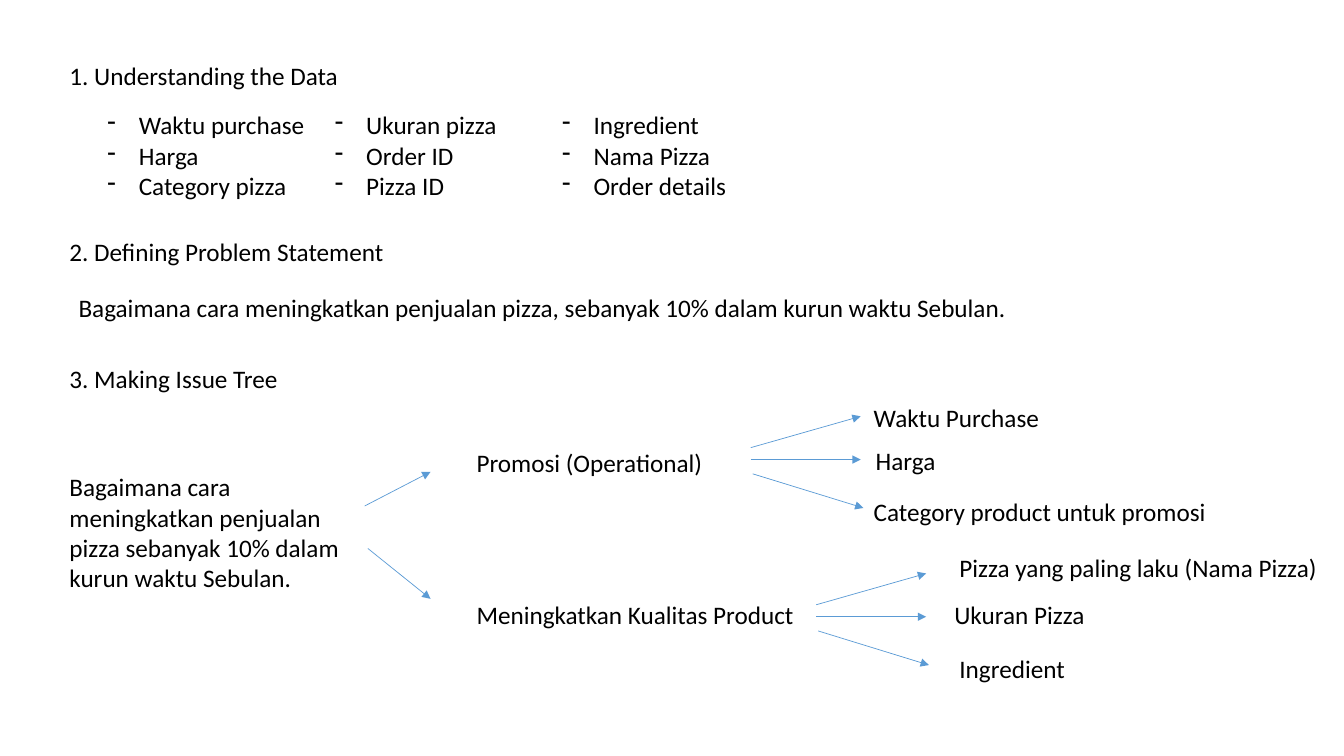
from lxml import etree
from pptx import Presentation
from pptx.dml.color import RGBColor
from pptx.enum.shapes import MSO_CONNECTOR
from pptx.enum.text import MSO_AUTO_SIZE
from pptx.oxml.ns import qn
from pptx.util import Cm, Pt

COLORS = {"text": "000000", "arrow": "5B9BD5"}
FONT, SIZE = "Calibri", 18
LINE_H, PAD_H = 0.76, 0.26  # height of a text line and of the box margins, cm

# Content: places in cm
HEADINGS = [  # text, top, width
    ("1. Understanding the Data", 1.4, 7.37),
    ("2. Defining Problem Statement", 5.84, 8.53),
    ("3. Making Issue Tree", 9.04, 5.82),
]
DATA_COLUMNS = [  # items, width
    (["Waktu purchase", "Harga", "Category pizza"], 5.54),
    (["Ukuran pizza", "Order ID", "Pizza ID"], 4.62),
    (["Ingredient", "Nama Pizza", "Order details"], 4.7),
]
STATEMENT = ("Bagaimana cara meningkatkan penjualan pizza, sebanyak 10% "
             "dalam kurun waktu Sebulan.")
ISSUE = ("Bagaimana cara meningkatkan penjualan pizza sebanyak 10% "
         "dalam kurun waktu Sebulan.")
BRANCHES = [  # text, top, fan origin, leaves (text, left, top)
    ("Promosi (Operational)", 11.15, (18.92, 11.58), [
        ("Waktu Purchase", 21.77, 10.01),
        ("Harga", 21.82, 11.1),
        ("Category product untuk promosi", 21.77, 12.37),
    ]),
    ("Meningkatkan Kualitas Product", 14.99, (20.57, 15.54), [
        ("Pizza yang paling laku (Nama Pizza)", 23.93, 13.79),
        ("Ukuran Pizza", 23.8, 14.99),
        ("Ingredient", 23.93, 16.33),
    ]),
]
ISSUE_ARROWS = [(9.19, 12.75, 10.85, 11.89), (9.27, 13.82, 10.85, 15.09)]
FAN = [(0, -0.3, 2.77, -1.09), (0, 0, 2.77, 0), (0.05, 0.36, 2.84, 1.22)]

LEFT = 1.5
COLUMN_LEFT, COLUMN_TOP, COLUMN_STEP = 2.46, 2.64, 5.73
BRANCH_LEFT, NODE_W = 11.76, 9.93
INDENT = 0.79

prs = Presentation()
prs.slide_width, prs.slide_height = Cm(33.87), Cm(19.05)
s = prs.slides.add_slide(prs.slide_layouts[6])


def add_text(lines, left, top, width, wrap=True, rows=1, dashes=False):
    height = rows * LINE_H + PAD_H
    sp = s.shapes.add_textbox(Cm(left), Cm(top), Cm(width), Cm(height))
    tf = sp.text_frame
    tf.word_wrap = wrap
    tf.auto_size = MSO_AUTO_SIZE.SHAPE_TO_FIT_TEXT
    tf.text = "\n".join(lines)
    for p in tf.paragraphs:
        p.font.name, p.font.size = FONT, Pt(SIZE)
        p.font.color.rgb = RGBColor.from_string(COLORS["text"])
        if dashes:
            pPr = p._p.get_or_add_pPr()
            pPr.set("marL", str(Cm(INDENT)))
            pPr.set("indent", str(-Cm(INDENT)))
            bullet = etree.Element(qn("a:buChar"), char="-")
            pPr.insert(0, bullet)


def add_arrow(x1, y1, x2, y2):
    cx = s.shapes.add_connector(MSO_CONNECTOR.STRAIGHT,
                                Cm(x1), Cm(y1), Cm(x2), Cm(y2))
    cx.line.width = Pt(0.5)
    cx.line.color.rgb = RGBColor.from_string(COLORS["arrow"])
    etree.SubElement(cx.line._get_or_add_ln(), qn("a:tailEnd"), type="triangle")
    etree.SubElement(cx._element.spPr, qn("a:effectLst"))


# Section headings
for text, top, width in HEADINGS:
    add_text([text], LEFT, top, width, wrap=False)

# Data fields in three columns
for i, (items, width) in enumerate(DATA_COLUMNS):
    add_text(items, COLUMN_LEFT + i * COLUMN_STEP, COLUMN_TOP, width,
             wrap=False, rows=len(items), dashes=True)

# Problem statement
add_text([STATEMENT], 1.73, 7.24, 30.81)

# Issue tree: root, branches and leaves
add_text([ISSUE], LEFT, 11.76, 7.39, rows=4)
for arrow in ISSUE_ARROWS:
    add_arrow(*arrow)
for text, top, (x, y), leaves in BRANCHES:
    add_text([text], BRANCH_LEFT, top, NODE_W)
    for (leaf, leaf_left, leaf_top), (x1, y1, x2, y2) in zip(leaves, FAN):
        add_text([leaf], leaf_left, leaf_top, NODE_W)
        add_arrow(x + x1, y + y1, x + x2, y + y2)

prs.save("out.pptx")
